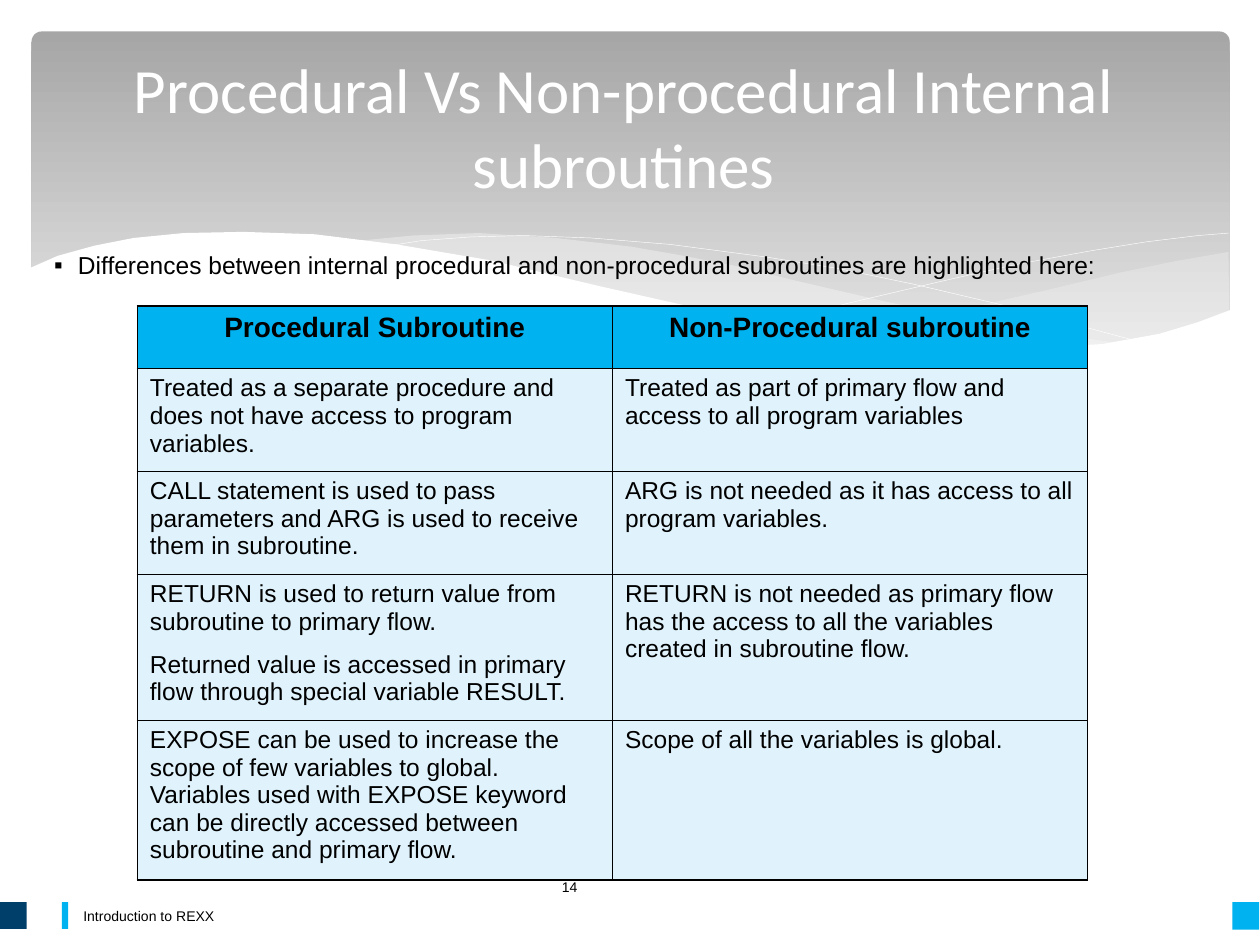
from lxml.etree import SubElement
from pptx import Presentation
from pptx.dml.color import RGBColor as RGB
from pptx.enum.shapes import MSO_SHAPE as SHAPE
from pptx.enum.text import MSO_ANCHOR as ANCHOR, PP_ALIGN as ALIGN
from pptx.oxml.ns import qn
from pptx.util import Pt

COLORS = {"black": "000000", "white": "FFFFFF", "navy": "003F69", "cyan": "00B2EF",
          "pale": "E0F3FC", "mist": "F8F8F8", "gray": "A6A6A6", "silver": "EBEBEB"}

RIGHT_WAVE = [(702, 144), (673, 149), (641.5, 155.5), (599, 165.6), (542, 178.6),
              (476, 191), (497.5, 193.7), (527, 197.3), (553.7, 199.4), (586, 200),
              (615, 198.7), (640, 195.8), (663, 191), (683, 185), (702.5, 178)]
MIDDLE_WAVE = [(643, 196.6), (602.6, 190.8), (558, 183), (508, 172.8), (453, 160),
               (420.5, 152), (389.5, 146), (361, 141), (317.5, 136), (273.6, 133.2),
               (236, 134.6), (206, 137.5), (246, 143.3), (291, 152), (323, 160),
               (381.6, 172.8), (432.7, 183.6), (479, 191.5), (520, 197.3),
               (556.6, 200.2), (589, 200.9), (617, 199.4)]
FALLING_LINE = [(222.5, 140.4), (241, 137.5), (269, 135.4), (299.5, 134.6), (337.7, 136),
                (383, 139.7), (437.8, 146.9), (478.8, 153.4), (523.4, 162.7),
                (572.4, 174.2), (653, 195.8)]
RISING_LINE = [(441.4, 185), (483.8, 173.5), (538.6, 160.6), (580.3, 151.2),
               (623.5, 143.3), (655, 138.2), (684.7, 134.6), (702, 133.2)]
FRONT_WAVE = [(703.4, 177), (684, 184.3), (662.4, 190.8), (630, 196.6), (582.5, 199.4),
              (535.7, 197.3), (495.4, 193), (450.7, 185.8), (399.6, 176.4), (342, 163.4),
              (281.5, 149), (226.8, 139.7), (180, 133.9), (139, 132.5), (105, 133.2),
              (76.3, 136), (54, 140.4), (33, 146.2), (16.6, 153.4), (16.6, 237),
              (703.4, 237)]

ROWS = [
    ("Procedural Subroutine", "Non-Procedural subroutine"),
    ("Treated as a separate procedure and does not have access to program variables.",
     "Treated as part of primary flow and access to all program variables"),
    ("CALL statement is used to pass parameters and ARG is used to receive them in subroutine.",
     "ARG is not needed as it has access to all program variables."),
    ("RETURN is used to return value from subroutine to primary flow.\n"
     "Returned value is accessed in primary flow through special variable RESULT.",
     "RETURN is not needed as primary flow has the access to all the variables "
     "created in subroutine flow."),
    ("EXPOSE can be used to increase the scope of few variables to global. Variables used "
     "with EXPOSE keyword can be directly accessed between subroutine and primary flow.",
     "Scope of all the variables is global."),
]
ROW_HEIGHTS = [35.5, 58.8, 58.8, 83.5, 91.2]


def rgb(name):
    return RGB.from_string(COLORS[name])


def add_run(p, text, size, color="black", font="Arial", bold=False):
    r = p.add_run()
    r.text = text
    r.font.size, r.font.name, r.font.bold = Pt(size), font, bold
    r.font.color.rgb = rgb(color)


def add_text(s, box, text, size, anchor=ANCHOR.MIDDLE, align=ALIGN.LEFT, **style):
    """Add a wrapped text box and return its paragraph."""
    tf = s.shapes.add_textbox(*map(Pt, box)).text_frame
    tf.word_wrap, tf.vertical_anchor = True, anchor
    p = tf.paragraphs[0]
    p.alignment = align
    add_run(p, text, size, **style)
    return p


def add_bullet(p, char, indent):
    pPr = p._p.get_or_add_pPr()
    pPr.set("marL", str(Pt(indent)))
    pPr.set("indent", str(-Pt(indent)))
    SubElement(pPr, qn("a:buFont"), typeface="Arial")
    SubElement(pPr, qn("a:buChar"), char=char)


def add_block(s, box, color):
    sp = s.shapes.add_shape(SHAPE.RECTANGLE, *map(Pt, box))
    sp.shadow.inherit = False
    sp.fill.solid()
    sp.fill.fore_color.rgb = rgb(color)
    sp.line.fill.background()


def add_banner(s):
    sp = s.shapes.add_shape(SHAPE.ROUNDED_RECTANGLE, Pt(18), Pt(18), Pt(684.7), Pt(194.4))
    sp.shadow.inherit = False
    sp.adjustments[0] = 0.03
    sp.line.fill.background()
    sp.fill.gradient()
    sp.fill.gradient_angle = 270
    for stop, color, position in zip(sp.fill.gradient_stops, ("gray", "silver"), (0, 1)):
        stop.color.rgb, stop.position = rgb(color), position


def add_outline(s, points, closed):
    start, *rest = [(Pt(x), Pt(y)) for x, y in points]
    builder = s.shapes.build_freeform(*start)
    builder.add_line_segments(rest, close=closed)
    sp = builder.convert_to_shape()
    sp.shadow.inherit = False
    return sp


def add_wave(s, points, color, opacity=100):
    sp = add_outline(s, points, True)
    sp.line.fill.background()
    sp.fill.solid()
    sp.fill.fore_color.rgb = rgb(color)
    if opacity < 100:
        clr = sp.fill._xPr.find(qn("a:solidFill"))[0]
        SubElement(clr, qn("a:alpha"), val=str(opacity * 1000))


def add_curve(s, points):
    sp = add_outline(s, points, False)
    sp.fill.background()
    sp.line.color.rgb = rgb("white")
    sp.line.width = Pt(0.25)


def set_borders(cell, widths):
    """Draw black cell borders; widths maps L, R, T, B to points."""
    tcPr = cell._tc.get_or_add_tcPr()
    for side, width in widths.items():
        ln = SubElement(tcPr, qn(f"a:ln{side}"), w=str(Pt(width)))
        fill = SubElement(ln, qn("a:solidFill"))
        SubElement(fill, qn("a:srgbClr"), val=COLORS["black"])


def add_comparison(s):
    table = s.shapes.add_table(len(ROWS), 2, Pt(78.5), Pt(175), Pt(543), Pt(327.8)).table
    for col in table.columns:
        col.width = Pt(271.5)
    last = len(ROWS) - 1
    for i, (texts, height) in enumerate(zip(ROWS, ROW_HEIGHTS)):
        table.rows[i].height = Pt(height)
        header = i == 0
        for j, text in enumerate(texts):
            cell = table.cell(i, j)
            outer = {"L": j == 0, "R": j == 1, "T": header, "B": i == last}
            set_borders(cell, {side: 1.08 if edge else 0.45 for side, edge in outer.items()})
            cell.fill.solid()
            cell.fill.fore_color.rgb = rgb("cyan" if header else "pale")
            tf = cell.text_frame
            for k, line in enumerate(text.split("\n")):
                p = tf.add_paragraph() if k else tf.paragraphs[0]
                if k:
                    p.space_before = Pt(8.8)
                p.alignment = ALIGN.CENTER if header else ALIGN.LEFT
                add_run(p, line, 16 if header else 14, bold=header)


def main():
    prs = Presentation()
    prs.slide_width, prs.slide_height = Pt(720), Pt(540)
    s = prs.slides.add_slide(prs.slide_layouts[6])

    add_banner(s)
    add_wave(s, RIGHT_WAVE, "mist", 29)
    add_wave(s, MIDDLE_WAVE, "mist", 40)
    add_curve(s, FALLING_LINE)
    add_curve(s, RISING_LINE)
    add_wave(s, FRONT_WAVE, "white")

    add_text(s, (40.5, 514, 561, 18.7), "Introduction to REXX", 8)
    add_block(s, (0, 515.5, 15.3, 15.3), "navy")
    add_block(s, (704.3, 515.5, 15.3, 15.8), "cyan")
    add_block(s, (35.3, 515.5, 3.6, 15.3), "cyan")

    add_text(s, (14.4, 46.8, 684, 50.4), "Procedural Vs Non-procedural Internal subroutines",
             36, align=ALIGN.CENTER, color="white", font="Calibri")
    add_comparison(s)
    add_text(s, (314, 492.5, 91.4, 28.8), "14", 8)
    p = add_text(s, (23.8, 139.5, 684, 42.5),
                 "Differences between internal procedural and non-procedural subroutines "
                 "are highlighted here:", 14, anchor=ANCHOR.TOP)
    add_bullet(p, "▪", 13.7)
    prs.save("out.pptx")


if __name__ == "__main__":
    main()
